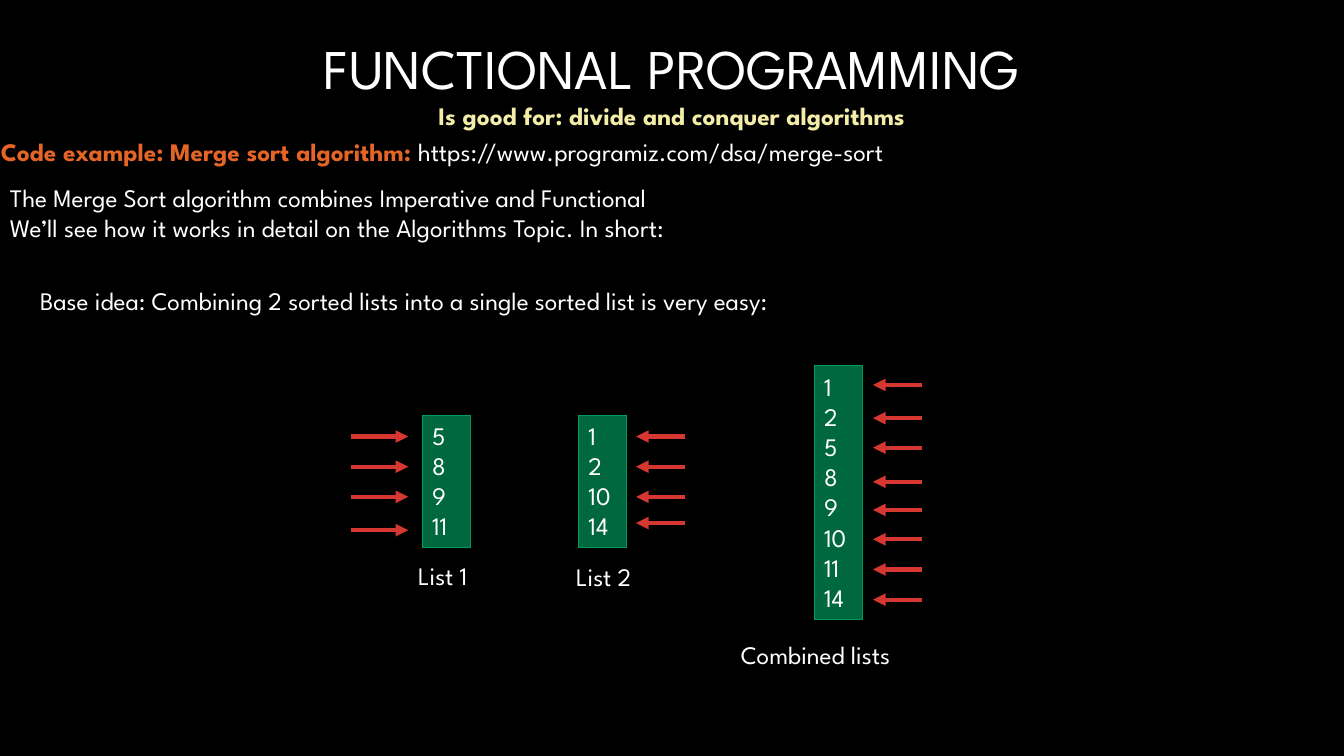
import pptx
import pptx.util
import pptx.dml.color
import pptx.enum.dml
import pptx.enum.shapes
import pptx.enum.text
import pptx.oxml
import pptx.oxml.ns

Cm, Pt = pptx.util.Cm, pptx.util.Pt
ALIGN = pptx.enum.text.PP_ALIGN
ANCHOR = pptx.enum.text.MSO_ANCHOR
FIT = pptx.enum.text.MSO_AUTO_SIZE

FONT = "League Spartan"
HUES = {
    "black": "000000", "white": "FFFFFF", "orange": "E56526",
    "gold": "E1D126", "cream": "F3EDA8", "olive": "746B10",
    "green": "00683F", "mint": "019D5E", "red": "D63731",
}
NS = pptx.oxml.ns.nsdecls("a")


def hue(name):
    return pptx.dml.color.RGBColor.from_string(HUES[name])


def edge(run, name, width):
    """Outline the letters of a run."""
    run.font._element.insert(0, pptx.oxml.parse_xml(
        f'<a:ln {NS} w="{Pt(width)}"><a:solidFill>'
        f'<a:srgbClr val="{HUES[name]}"/></a:solidFill></a:ln>'))


def write(frame, text, size=18, color="white", bold=False, align=ALIGN.LEFT,
          space=None, back=None, rim=None):
    """Add text to the end of a frame; each new line starts a paragraph."""
    for row, line in enumerate(text.split("\n")):
        para = frame.add_paragraph() if row else frame.paragraphs[-1]
        para.alignment = align
        if space:
            para.line_spacing = space
        run = para.add_run()
        run.text = line
        font = run.font
        font.name, font.size, font.bold = FONT, Pt(size), bold
        if back:
            font.fill.patterned()
            font.fill.pattern = pptx.enum.dml.MSO_PATTERN.NARROW_HORIZONTAL
            font.fill.fore_color.rgb = hue(color)
            font.fill.back_color.rgb = hue(back)
        else:
            font.color.rgb = hue(color)
        if rim:
            edge(run, *rim)


def label(slide, text, left, top, width, height=1.02, wrap=True,
          anchor=ANCHOR.TOP, **form):
    box = slide.shapes.add_textbox(Cm(left), Cm(top), Cm(width), Cm(height))
    frame = box.text_frame
    frame.word_wrap = wrap
    frame.vertical_anchor = anchor
    write(frame, text, **form)
    return frame


def stack(slide, items, left, top, height):
    """Draw a list as a green column of numbers."""
    box = slide.shapes.add_shape(
        pptx.enum.shapes.MSO_SHAPE.RECTANGLE,
        Cm(left), Cm(top), Cm(1.22), Cm(height))
    box.shadow.inherit = False
    box.fill.solid()
    box.fill.fore_color.rgb = hue("green")
    box.line.color.rgb = hue("mint")
    box.line.width = Pt(0.75)
    frame = box.text_frame
    frame.word_wrap = False
    frame.auto_size = FIT.SHAPE_TO_FIT_TEXT
    frame.vertical_anchor = ANCHOR.TOP
    write(frame, "\n".join(map(str, items)))


def arrow(slide, start, end, y):
    line = slide.shapes.add_connector(
        pptx.enum.shapes.MSO_CONNECTOR.STRAIGHT,
        Cm(start), Cm(y), Cm(end), Cm(y))
    line.line.color.rgb = hue("red")
    line.line.width = Pt(3)
    line.line._get_or_add_ln().append(
        pptx.oxml.parse_xml(f'<a:tailEnd {NS} type="triangle"/>'))
    line._element.spPr.append(pptx.oxml.parse_xml(f"<a:effectLst {NS}/>"))


def main():
    deck = pptx.Presentation()
    deck.slide_width, deck.slide_height = Cm(33.87), Cm(19.05)
    slide = deck.slides.add_slide(deck.slide_layouts[6])
    slide.background.fill.solid()
    slide.background.fill.fore_color.rgb = hue("black")

    # Headings
    label(slide, "FUNCTIONAL PROGRAMMING", 0, 0.89, 33.87, 1.8, size=40,
          anchor=ANCHOR.MIDDLE, align=ALIGN.CENTER, space=0.9)
    label(slide, "Is good for: divide and conquer algorithms",
          6.45, 2.41, 20.96, align=ALIGN.CENTER, bold=True,
          color="gold", back="cream", rim=("olive", 1))
    code = label(slide, "Code example: Merge sort algorithm: ",
                 -0.23, 3.3, 33.87, bold=True, color="orange",
                 rim=("black", 0.75))
    write(code, "https://www.programiz.com/dsa/merge-sort")

    # Explanation
    label(slide, "The Merge Sort algorithm combines Imperative and Functional\n"
          "We’ll see how it works in detail on the Algorithms Topic. In short:",
          0, 4.47, 26.87, 1.8)
    label(slide, "Base idea: Combining 2 sorted lists into a single sorted "
          "list is very easy:", 0.76, 7.06, 21.77, wrap=False)

    # Lists: numbers, column box, arrow ends, arrow heights
    lists = [
        ([5, 8, 9, 11], (10.64, 10.46, 3.33), (8.84, 10.29),
         [11, 11.76, 12.52, 13.36]),
        ([1, 2, 10, 14], (14.58, 10.46, 3.33), (17.27, 16.03),
         [11, 11.76, 12.52, 13.18]),
        ([1, 2, 5, 8, 9, 10, 11, 14], (20.52, 9.22, 6.4), (23.24, 22),
         [9.7, 10.54, 11.28, 12.14, 12.85, 13.59, 14.35, 15.11]),
    ]
    for items, box, ends, rows in lists:
        stack(slide, items, *box)
        for y in rows:
            arrow(slide, *ends, y)

    # List names
    label(slide, "List 1", 10.29, 14, 2.97)
    label(slide, "List 2", 14.27, 14.02, 2.97)
    label(slide, "Combined lists", 18.42, 15.98, 6.1)

    deck.save("out.pptx")


if __name__ == "__main__":
    main()
